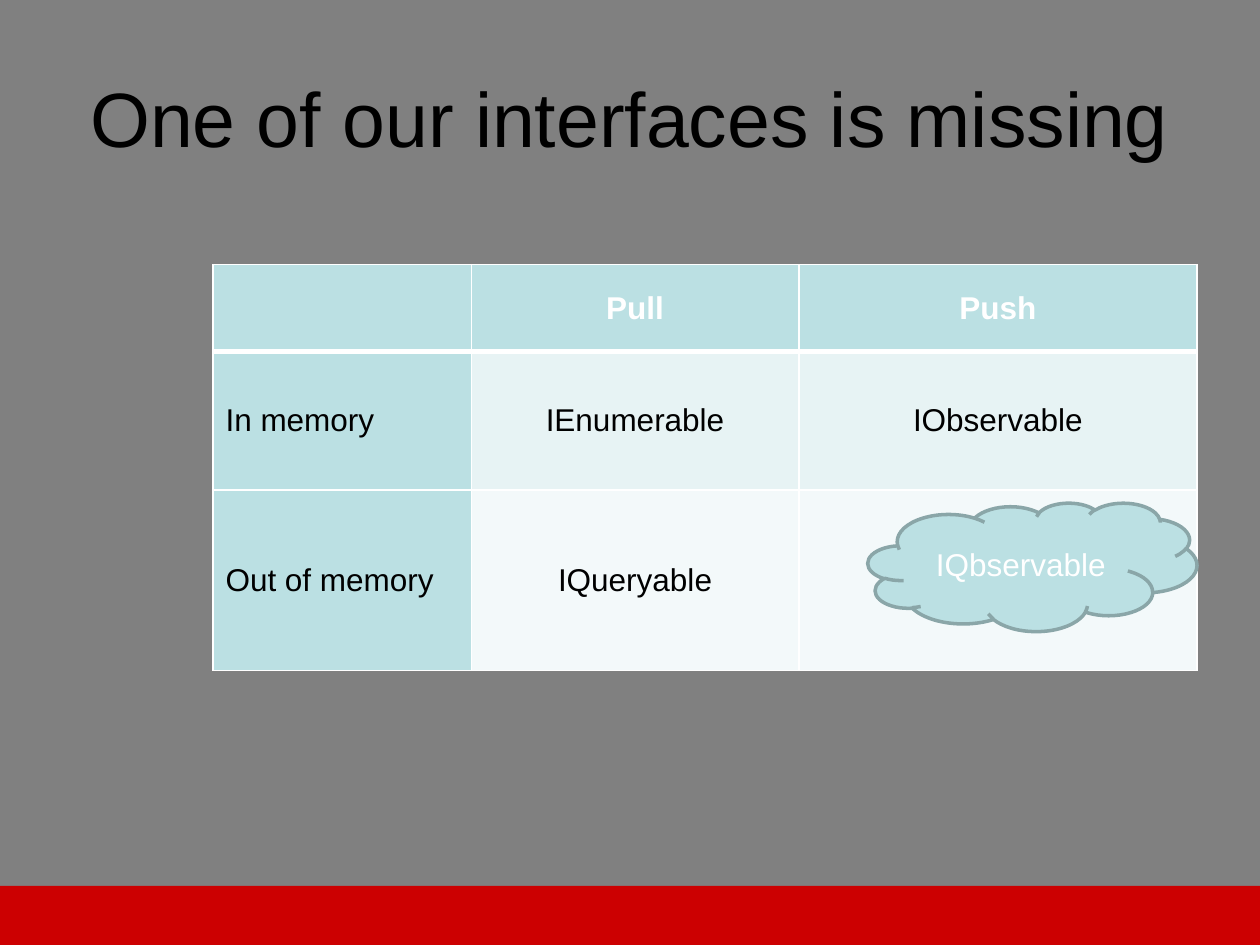
from pptx import Presentation
from pptx.util import Pt
from pptx.dml.color import RGBColor
from pptx.enum.shapes import MSO_SHAPE
from pptx.enum.text import PP_ALIGN, MSO_ANCHOR
from pptx.oxml import parse_xml
from pptx.oxml.ns import nsdecls

HEX = {"back": "808080", "black": "000000", "white": "FFFFFF", "teal": "BBE0E3",
       "pale": "E7F3F4", "faint": "F3F9FA", "red": "CC0001", "edge": "8AA6A8"}
RGB = {name: RGBColor.from_string(code) for name, code in HEX.items()}


def write(frame, text, size, color, bold=False, align=PP_ALIGN.CENTER):
    frame.word_wrap = True
    para = frame.paragraphs[0]
    para.alignment = align
    run = para.add_run()
    run.text = text
    font = run.font
    font.name, font.size, font.bold = "Arial", Pt(size), bold
    font.color.rgb = RGB[color]


def border(cell, widths):
    props = cell._tc.get_or_add_tcPr()
    for spot, (side, width) in enumerate(widths.items()):
        props.insert(spot, parse_xml(
            f'<a:ln{side} {nsdecls("a")} w="{Pt(width)}"><a:solidFill>'
            f'<a:srgbClr val="{HEX["white"]}"/></a:solidFill></a:ln{side}>'))


deck = Presentation()
deck.slide_width, deck.slide_height = Pt(720), Pt(540)
slide = deck.slides.add_slide(deck.slide_layouts[6])
slide.background.fill.solid()
slide.background.fill.fore_color.rgb = RGB["back"]

# Title
title = slide.shapes.add_textbox(Pt(36), Pt(21.6), Pt(648), Pt(90)).text_frame
title.vertical_anchor = MSO_ANCHOR.MIDDLE
write(title, "One of our interfaces is missing", 44, "black")

# Table of interfaces
rows = [["", "Pull", "Push"],
        ["In memory", "IEnumerable", "IObservable"],
        ["Out of memory", "IQueryable", ""]]
fills = ["teal", "pale", "faint"]
wide = [147.6, 187.2, 227.5]
high = [49.7, 79.2, 103]
table = slide.shapes.add_table(3, 3, Pt(121.7), Pt(151.2),
                               Pt(sum(wide)), Pt(sum(high))).table
for col, width in zip(table.columns, wide):
    col.width = Pt(width)
for row, height in zip(table.rows, high):
    row.height = Pt(height)
for r, texts in enumerate(rows):
    for c, text in enumerate(texts):
        cell = table.cell(r, c)
        cell.vertical_anchor = MSO_ANCHOR.MIDDLE
        cell.fill.solid()
        cell.fill.fore_color.rgb = RGB[fills[r] if c else "teal"]
        border(cell, {"L": 1, "R": 1, "T": 3 if r == 1 else 1, "B": 3 if r == 0 else 1})
        if text:
            write(cell.text_frame, text, 18, "black" if r else "white", r == 0,
                  PP_ALIGN.CENTER if c else PP_ALIGN.LEFT)

# Footer band
band = slide.shapes.add_shape(MSO_SHAPE.RECTANGLE, 0, Pt(506.2), Pt(720), Pt(33.8))
band.shadow.inherit = False
band.fill.solid()
band.fill.fore_color.rgb = RGB["red"]
band.line.fill.background()

# Cloud over the empty cell
cloud = slide.shapes.add_shape(MSO_SHAPE.CLOUD, Pt(496), Pt(287.3), Pt(188), Pt(73.4))
cloud.shadow.inherit = False
cloud.fill.solid()
cloud.fill.fore_color.rgb = RGB["teal"]
cloud.line.color.rgb = RGB["edge"]
cloud.line.width = Pt(2)
cloud.text_frame.vertical_anchor = MSO_ANCHOR.MIDDLE
write(cloud.text_frame, "IQbservable", 18, "white")

deck.save("out.pptx")
